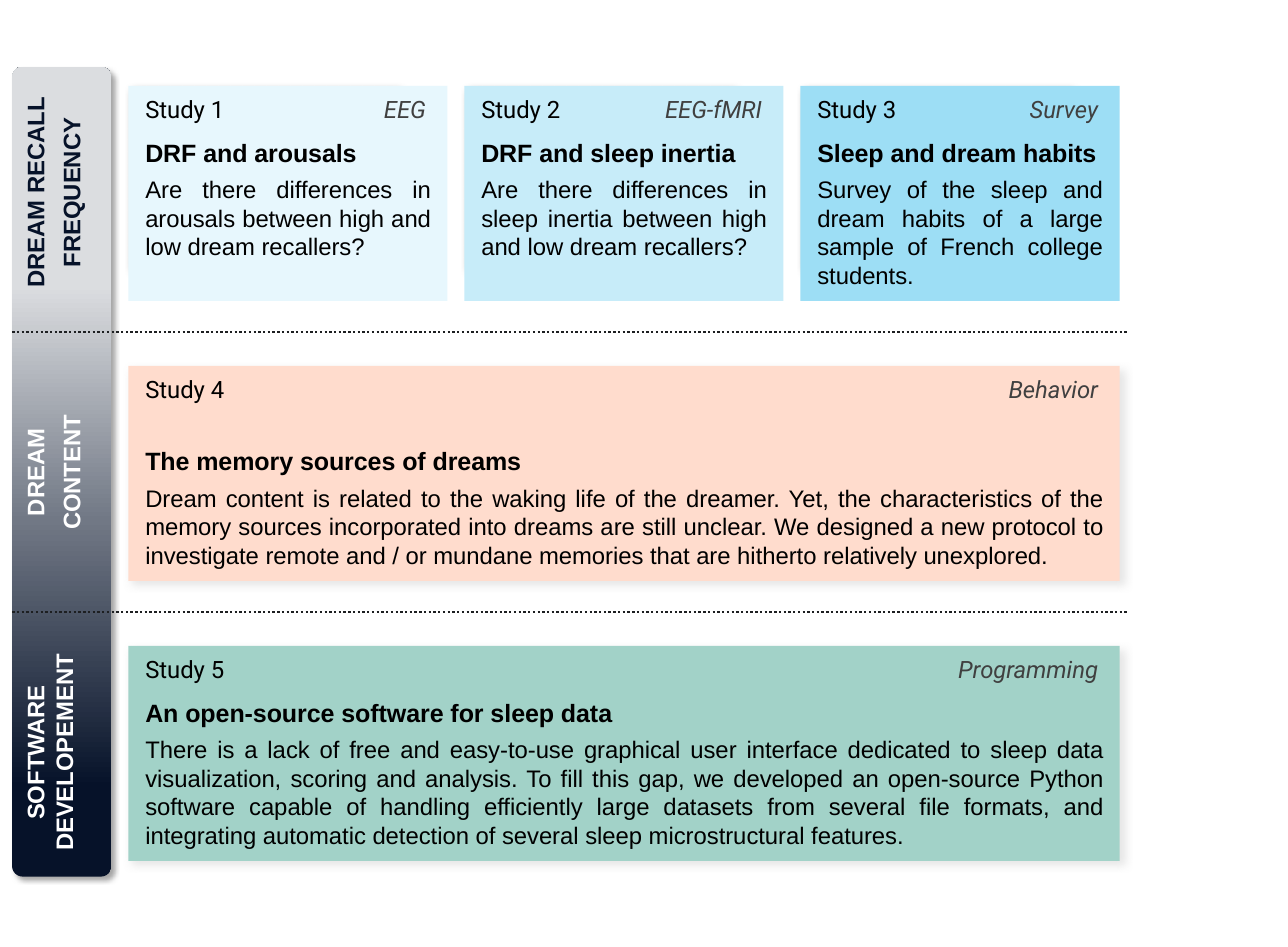
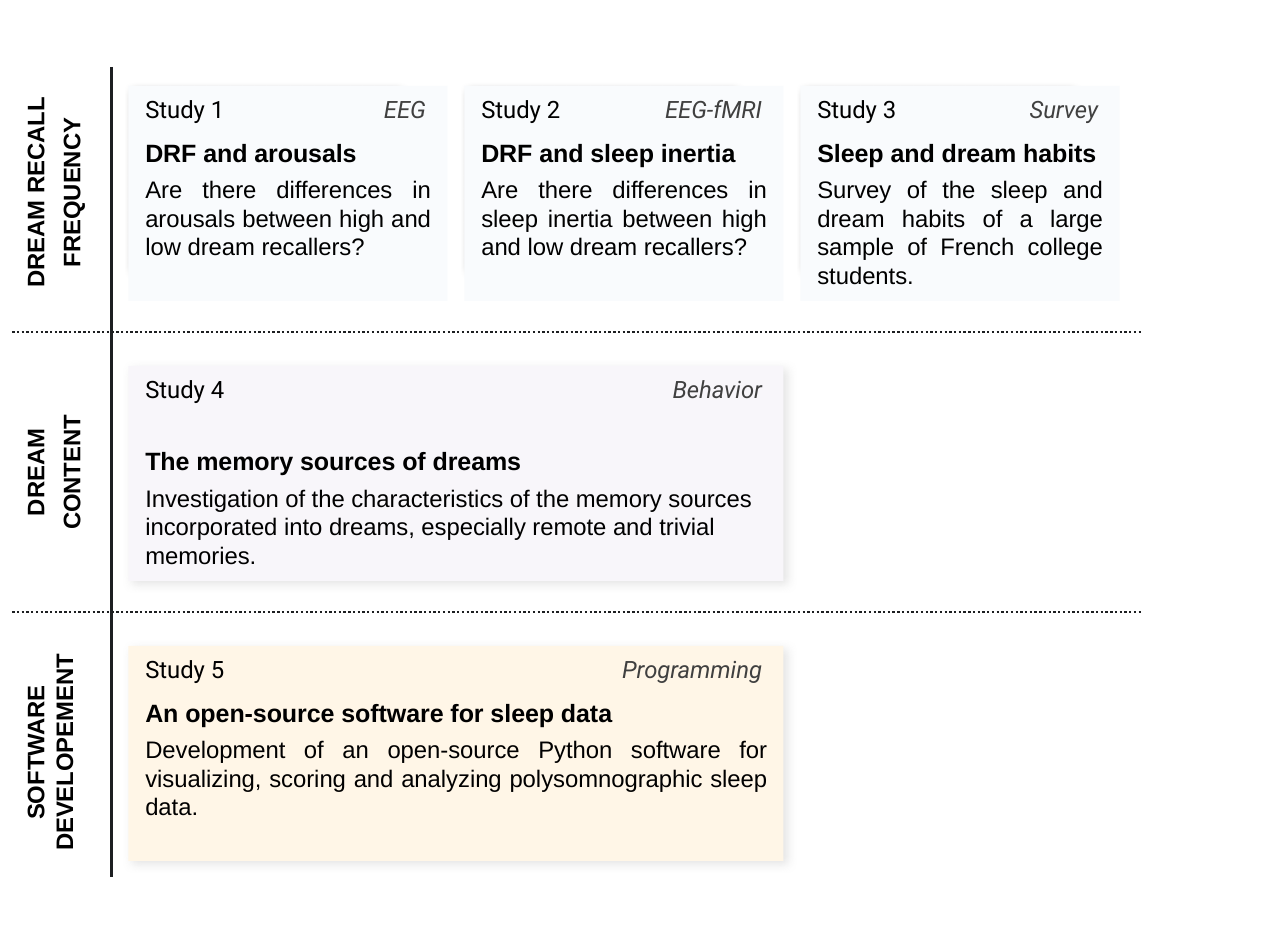
from lxml.etree import SubElement
from pptx import Presentation
from pptx.dml.color import RGBColor
from pptx.enum.dml import MSO_LINE
from pptx.enum.shapes import MSO_CONNECTOR, MSO_SHAPE
from pptx.enum.text import MSO_ANCHOR, PP_ALIGN
from pptx.oxml.ns import qn
from pptx.util import Cm, Pt

HUES = {
    "ink": "000000", "tag": "404040", "rule": "1D1F21", "navy": "061229",
    "slate": "717885", "mist": "DBDDE0", "white": "FFFFFF", "gray": "808080",
    "ice": "E7F7FD", "sky": "C7ECF9", "blue": "9DDEF5", "peach": "FFDCCD",
    "mint": "A2D2C8", "frost": "F9FBFD", "lilac": "F8F6FA", "cream": "FFF6E7",
}
FONTS = {
    "study": {"name": "Roboto", "size": Pt(10), "bold": False, "italic": False},
    "tag": {"name": "Roboto", "size": Pt(10), "bold": False, "italic": True},
    "head": {"name": "Arial", "size": Pt(10.5), "bold": True},
    "body": {"name": "Arial", "size": Pt(10), "bold": False},
    "label": {"name": "Arial", "size": Pt(10), "bold": True},
}
SHADES = {
    "bar": {"hue": "gray", "alpha": 70, "blur": 2, "dist": 2, "scale": 100},
    "wide": {"hue": "gray", "alpha": 20, "blur": 4, "dist": 2, "scale": 100},
    "small": {"hue": "ink", "alpha": 40, "blur": 4, "dist": 3, "scale": 84},
}
LEFT, EDGE, TOP = 0.18, 1.65, 0.99
CARD_X, CARD_Y, CARD_W, CARD_H = 1.9, 1.27, 4.72, 3.18
STEP_X, STEP_Y = 4.97, 4.14
BAR_H = 11.97


class Deck:
    """Holds the style and the current slide."""

    def __init__(self):
        self.prs = Presentation()
        self.prs.slide_width, self.prs.slide_height = Cm(19.05), Cm(14)
        self.slide = None

    def page(self):
        self.slide = self.prs.slides.add_slide(self.prs.slide_layouts[6])

    def color(self, hue):
        return RGBColor.from_string(HUES[hue])

    def words(self, para, text, kind, hue="ink"):
        run = para.add_run()
        run.text = text
        for key, val in FONTS[kind].items():
            setattr(run.font, key, val)
        run.font.color.rgb = self.color(hue)

    def shade(self, shape, kind):
        look = SHADES[kind]
        shape.shadow.inherit = False
        effects = shape._element.spPr.find(qn("a:effectLst"))
        scale = str(look["scale"] * 1000)
        outer = SubElement(
            effects, qn("a:outerShdw"), blurRad=str(Pt(look["blur"])),
            dist=str(Pt(look["dist"])), dir="2700000", sx=scale, sy=scale,
            algn="tl", rotWithShape="0")
        tint = SubElement(outer, qn("a:srgbClr"), val=HUES[look["hue"]])
        SubElement(tint, qn("a:alpha"), val=str(look["alpha"] * 1000))

    def block(self, form, x, y, w, h, kind):
        shape = self.slide.shapes.add_shape(form, Cm(x), Cm(y), Cm(w), Cm(h))
        shape.line.fill.background()
        self.shade(shape, kind)
        return shape

    def bar(self):
        shape = self.block(MSO_SHAPE.ROUNDED_RECTANGLE, LEFT, TOP,
                           EDGE - LEFT, BAR_H, "bar")
        shape.adjustments[0] = 0.106
        shape.fill.gradient()
        grad = shape._element.spPr.find(qn("a:gradFill"))
        for part in list(grad):
            grad.remove(part)
        stops = SubElement(grad, qn("a:gsLst"))
        for pos, hue in ((11, "navy"), (44, "slate"), (73, "mist")):
            stop = SubElement(stops, qn("a:gs"), pos=str(pos * 1000))
            SubElement(stop, qn("a:srgbClr"), val=HUES[hue])
        SubElement(grad, qn("a:lin"), ang="16200000", scaled="0")

    def label(self, row, lines, hue):
        box = self.slide.shapes.add_textbox(
            Cm(LEFT), Cm(TOP + row * STEP_Y), Cm(EDGE - LEFT), Cm(3.71))
        frame = box.text_frame
        frame.word_wrap = True
        frame._txBody.bodyPr.set("vert", "vert270")
        for num, line in enumerate(lines):
            para = frame.add_paragraph() if num else frame.paragraphs[0]
            para.alignment, para.space_after = PP_ALIGN.CENTER, Pt(3)
            self.words(para, line, "label", hue)

    def card(self, row, col, span, hue, study, tag, head, body,
             gap=6, align=PP_ALIGN.JUSTIFY):
        width = CARD_W + (span - 1) * STEP_X
        shape = self.block(MSO_SHAPE.RECTANGLE, CARD_X + col * STEP_X,
                           CARD_Y + row * STEP_Y, width, CARD_H,
                           "wide" if span > 1 else "small")
        shape.fill.solid()
        shape.fill.fore_color.rgb = self.color(hue)
        frame = shape.text_frame
        frame.word_wrap, frame.vertical_anchor = True, MSO_ANCHOR.TOP
        first, mid, last = (frame.paragraphs[0], frame.add_paragraph(),
                            frame.add_paragraph())
        first.space_after, mid.space_after = Pt(gap), Pt(3)
        first.alignment = mid.alignment = PP_ALIGN.LEFT
        last.alignment = align
        tabs = SubElement(first._p.get_or_add_pPr(), qn("a:tabLst"))
        SubElement(tabs, qn("a:tab"), pos=str(Cm(width - 0.57)), algn="r")
        self.words(first, study + "\t", "study")
        self.words(first, tag, "tag", "tag")
        self.words(mid, head, "head")
        self.words(last, body, "body")

    def rule(self, x1, y1, x2, y2, width=1, dash=None):
        line = self.slide.shapes.add_connector(
            MSO_CONNECTOR.STRAIGHT, Cm(x1), Cm(y1), Cm(x2), Cm(y2))
        line.line.color.rgb = self.color("rule")
        line.line.width = Pt(width)
        if dash:
            line.line.dash_style = dash
        SubElement(line._element.spPr, qn("a:effectLst"))

    def rows(self, end):
        for row in range(2):
            y = 4.91 + row * STEP_Y
            self.rule(LEFT, y, end, y, dash=MSO_LINE.ROUND_DOT)

    def labels(self, hues):
        for row, (lines, hue) in enumerate(zip(LABELS, hues)):
            self.label(row, lines, hue)

    def trio(self, hues):
        for col, (texts, hue) in enumerate(zip(TRIO, hues)):
            self.card(0, col, 1, hue, *texts)


LABELS = (("DREAM RECALL", "FREQUENCY"), ("DREAM", "CONTENT"),
          ("SOFTWARE DEVELOPEMENT",))
TRIO = (
    ("Study 1", "EEG", "DRF and arousals",
     "Are there differences in arousals between high and low dream recallers?"),
    ("Study 2", "EEG-fMRI", "DRF and sleep inertia",
     "Are there differences in sleep inertia between high and low dream "
     "recallers?"),
    ("Study 3", "Survey", "Sleep and dream habits",
     "Survey of the sleep and dream habits of a large sample of French "
     "college students."),
)
DREAMS = ("Study 4", "Behavior", "The memory sources of dreams")
TOOLS = ("Study 5", "Programming", "An open-source software for sleep data")

deck = Deck()

deck.page()
deck.bar()
deck.labels(("navy", "white", "white"))
deck.trio(("ice", "sky", "blue"))
deck.card(1, 0, 3, "peach", *DREAMS,
          "Dream content is related to the waking life of the dreamer. Yet, "
          "the characteristics of the memory sources incorporated into dreams "
          "are still unclear. We designed a new protocol to investigate remote "
          "and / or mundane memories that are hitherto relatively unexplored.",
          gap=18)
deck.card(2, 0, 3, "mint", *TOOLS,
          "There is a lack of free and easy-to-use graphical user interface "
          "dedicated to sleep data visualization, scoring and analysis. To "
          "fill this gap, we developed an open-source Python software capable "
          "of handling efficiently large datasets from several file formats, "
          "and integrating automatic detection of several sleep "
          "microstructural features.")
deck.rows(16.69)

deck.page()
deck.labels(("ink",) * 3)
deck.trio(("frost",) * 3)
deck.card(1, 0, 2, "lilac", *DREAMS,
          "Investigation of the characteristics of the memory sources "
          "incorporated into dreams, especially remote and trivial memories.",
          gap=18, align=PP_ALIGN.LEFT)
deck.card(2, 0, 2, "cream", *TOOLS,
          "Development of an open-source Python software for visualizing, "
          "scoring and analyzing polysomnographic sleep data.")
deck.rule(EDGE, TOP, EDGE, TOP + BAR_H, width=1.5)
deck.rows(16.89)

deck.prs.save("out.pptx")
